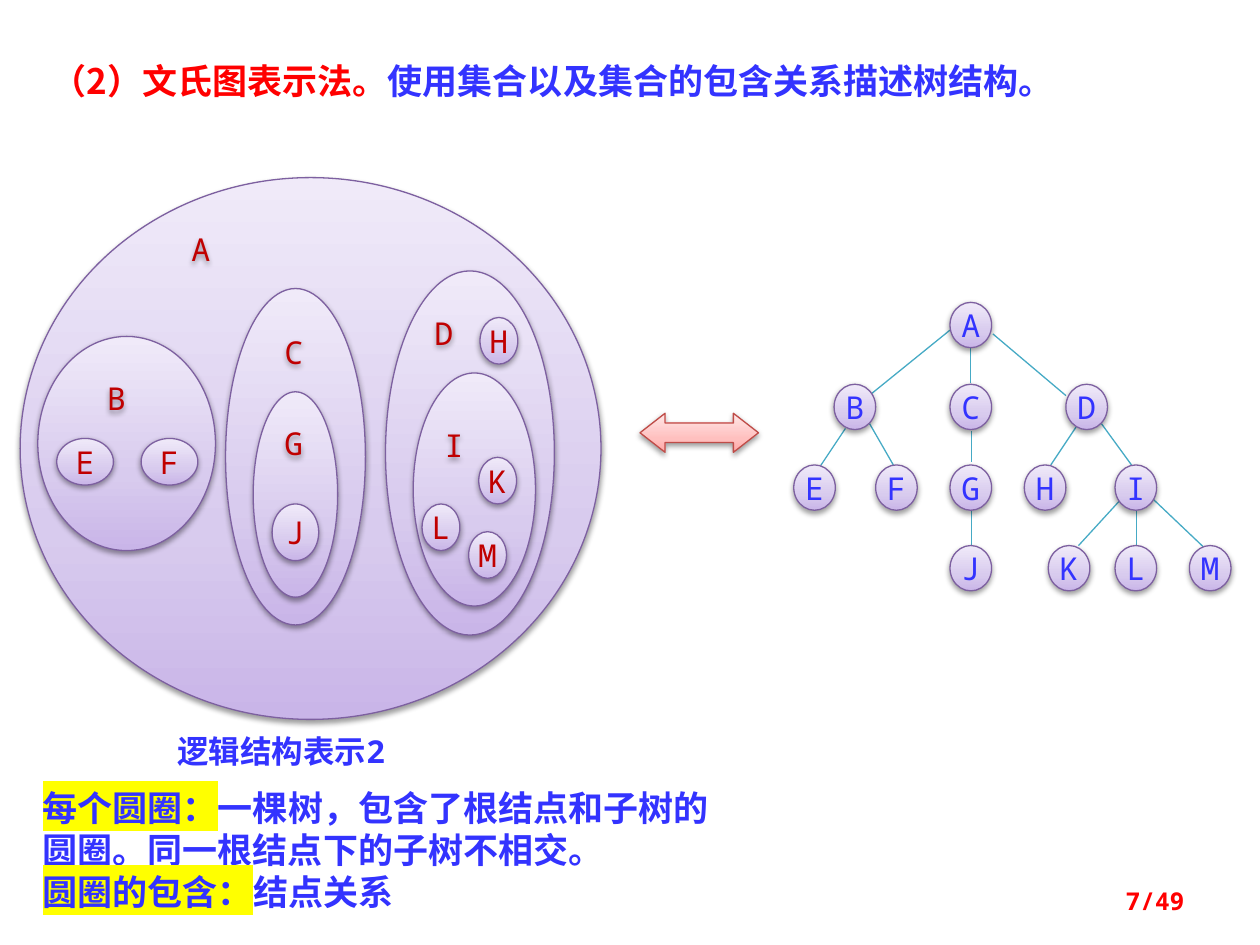
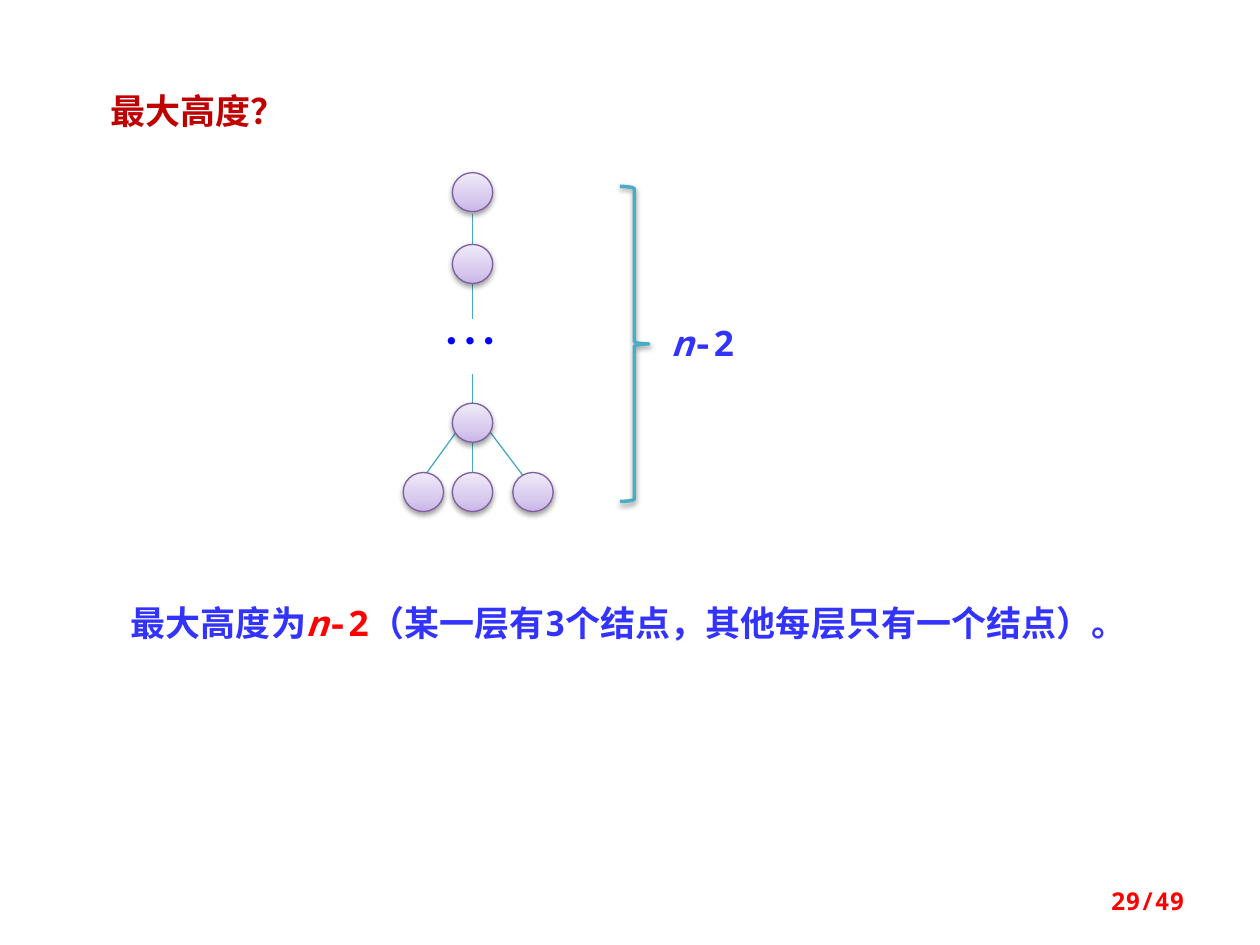
from pptx import Presentation
from pptx.dml.color import RGBColor
from pptx.enum.shapes import MSO_CONNECTOR, MSO_SHAPE
from pptx.enum.text import MSO_ANCHOR as ANCHOR, PP_ALIGN as ALIGN
from pptx.oxml import parse_xml
from pptx.oxml.ns import nsdecls, qn
from pptx.util import Inches, Pt
from lxml.etree import SubElement

BLUE = RGBColor(0x33, 0x33, 0xFF)
PURE_BLUE = RGBColor(0x00, 0x00, 0xFF)
RED = RGBColor(0xFF, 0x00, 0x00)
DARK_RED = RGBColor(0xC0, 0x00, 0x00)
YELLOW = RGBColor(0xFF, 0xFF, 0x00)
PURPLE = RGBColor(0x7D, 0x60, 0xA0)
BRICK = RGBColor(0xBF, 0x4C, 0x48)
TEAL = RGBColor(0x46, 0xAA, 0xC5)
BRACE_TEAL = RGBColor(0x4B, 0xAC, 0xC6)
LILAC_STOPS = (RGBColor(0xC9, 0xB5, 0xE8), RGBColor(0xD8, 0xCB, 0xEE), RGBColor(0xF0, 0xEA, 0xF9))
PINK_STOPS = (RGBColor(0xFF, 0xA6, 0xA5), RGBColor(0xFF, 0xC0, 0xBF), RGBColor(0xFF, 0xE7, 0xE7))
SHADOW = (f'<a:effectLst {nsdecls("a")}><a:outerShdw blurRad="40000" dist="20000" '
          'dir="5400000" rotWithShape="0"><a:srgbClr val="000000"><a:alpha val="38000"/>'
          '</a:srgbClr></a:outerShdw></a:effectLst>')
MONO = "Noto Sans Mono"
CJK = "Noto Sans CJK SC"
SERIF = "Times New Roman"


def write(shape, text, size=20, name=MONO, color=BLUE, bold=True, italic=False,
          align=ALIGN.LEFT, line_spacing=None, highlight=None, new_paragraph=False):
    frame = shape.text_frame
    paragraph = frame.add_paragraph() if new_paragraph else frame.paragraphs[-1]
    paragraph.alignment = align
    paragraph._p.get_or_add_pPr().set("hangingPunct", "0")
    if line_spacing:
        paragraph.line_spacing = line_spacing
    run = paragraph.add_run()
    run.text = text
    font = run.font
    font.size, font.bold, font.italic = Pt(size), bold, italic
    font.color.rgb = color
    properties = run._r.get_or_add_rPr()
    if highlight:
        marker = SubElement(properties, qn("a:highlight"))
        SubElement(marker, qn("a:srgbClr")).set("val", str(highlight))
    font.name = name
    SubElement(properties, qn("a:ea")).set("typeface", CJK)


def draw(slide, preset, box, stops=LILAC_STOPS, line=PURPLE, width=0.75):
    shape = slide.shapes.add_shape(preset, *map(Inches, box))
    if stops:
        gradient = "".join(
            f'<a:gs pos="{position}"><a:srgbClr val="{color}"/></a:gs>'
            for position, color in zip((0, 35000, 100000), stops))
        shape._element.spPr.append(parse_xml(
            f'<a:gradFill {nsdecls("a")} rotWithShape="1"><a:gsLst>{gradient}</a:gsLst>'
            '<a:lin ang="16200000" scaled="0"/></a:gradFill>'))
    else:
        shape.fill.background()
    shape.line.color.rgb = line
    shape.line.width = Pt(width)
    shape._element.spPr.append(parse_xml(SHADOW))
    return shape


presentation = Presentation()
presentation.slide_width, presentation.slide_height = Inches(10), Inches(7.5)
blank = presentation.slide_layouts[6]
venn_slide = presentation.slides.add_slide(blank)
height_slide = presentation.slides.add_slide(blank)

tree_edges = [
    (7.54, 2.62, 6.91, 3.13), (7.7, 2.76, 7.7, 3.04), (7.88, 2.65, 8.46, 3.14),
    (6.71, 3.4, 6.51, 3.7), (6.9, 3.36, 7.09, 3.69), (7.71, 3.42, 7.71, 3.67),
    (8.54, 3.39, 8.34, 3.69), (8.74, 3.36, 8.98, 3.69), (7.71, 4.05, 7.71, 4.33),
    (8.89, 3.97, 8.56, 4.33), (9.02, 4.05, 9.02, 4.33), (9.15, 3.96, 9.55, 4.34),
]
chain_edges = [
    (3.75, 1.7, 3.75, 2.02), (3.75, 2.21, 3.75, 2.53), (3.75, 2.97, 3.75, 3.28),
    (3.7, 3.32, 3.36, 3.79), (3.75, 3.43, 3.75, 3.83), (3.83, 3.35, 4.2, 3.84),
]
for slide, edges in ((venn_slide, tree_edges), (height_slide, chain_edges)):
    for edge in edges:
        connector = slide.shapes.add_connector(MSO_CONNECTOR.STRAIGHT, *map(Inches, edge))
        connector.line.color.rgb = TEAL
        connector.line.width = Pt(0.75)
        SubElement(connector._element.spPr, qn("a:effectLst"))

outer_sets = [
    (0.16, 1.41, 4.61, 4.3), (0.3, 2.67, 1.41, 1.7), (1.79, 2.29, 1.11, 2.67),
    (2.01, 3.11, 0.67, 1.63), (3.06, 2.15, 1.34, 2.89), (3.28, 2.96, 0.97, 1.85),
]
for box in outer_sets:
    draw(venn_slide, MSO_SHAPE.OVAL, box)

leaf_sets = {
    "E": (0.45, 3.48, 0.45, 0.37), "F": (1.12, 3.48, 0.45, 0.37),
    "J": (2.16, 4, 0.37, 0.45), "H": (3.81, 2.52, 0.3, 0.37),
    "K": (3.8, 3.63, 0.3, 0.37), "L": (3.35, 4, 0.3, 0.37),
    "M": (3.72, 4.22, 0.3, 0.37),
}
tree_levels = {
    2.4: {"A": 7.54},
    3.05: {"B": 6.62, "C": 7.54, "D": 8.46},
    3.69: {"E": 6.3, "F": 6.95, "G": 7.54, "H": 8.13, "I": 8.85},
    4.33: {"J": 7.54, "K": 8.32, "L": 8.85, "M": 9.44},
}
nodes = [(letter, box, DARK_RED) for letter, box in leaf_sets.items()]
nodes += [(letter, (left, top, 0.33, 0.36), BLUE)
          for top, level in tree_levels.items() for letter, left in level.items()]
for letter, box, color in nodes:
    node = draw(venn_slide, MSO_SHAPE.OVAL, box)
    node.text_frame.word_wrap = False
    node.text_frame.vertical_anchor = ANCHOR.MIDDLE
    write(node, letter, size=18, color=color, bold=False, align=ALIGN.CENTER)

set_labels = {
    "A": (1.42, 1.78), "B": (0.75, 2.96), "C": (2.16, 2.59),
    "G": (2.16, 3.32), "D": (3.35, 2.44), "I": (3.43, 3.33),
}
for letter, (left, top) in set_labels.items():
    label = venn_slide.shapes.add_textbox(*map(Inches, (left, top, 0.37, 0.4)))
    label._element.spPr.append(parse_xml(SHADOW))
    write(label, letter, size=18, color=DARK_RED, bold=False)

arrow = draw(venn_slide, MSO_SHAPE.LEFT_RIGHT_ARROW, (5.08, 3.28, 0.94, 0.31), PINK_STOPS, BRICK)
arrow.adjustments[0], arrow.adjustments[1] = 0.5, 0.642

for left, top in ((3.59, 1.37), (3.59, 1.94), (3.59, 3.2), (3.2, 3.75), (3.59, 3.75), (4.07, 3.75)):
    draw(height_slide, MSO_SHAPE.OVAL, (left, top, 0.32, 0.31))
draw(height_slide, MSO_SHAPE.RIGHT_BRACE, (4.92, 1.48, 0.23, 2.5), None, BRACE_TEAL, 2)

ellipsis_box = height_slide.shapes.add_textbox(*map(Inches, (3.51, 2.43, 0.63, 0.54)))
frame = ellipsis_box.text_frame
frame.margin_left = frame.margin_right = frame.margin_top = frame.margin_bottom = 0
write(ellipsis_box, "…", size=32, name=CJK, color=PURE_BLUE, bold=False)

title = dict(name=CJK, align=ALIGN.JUSTIFY, line_spacing=1.1)
body = dict(align=ALIGN.JUSTIFY, line_spacing=1.1)
text_boxes = [
    (venn_slide, (0.31, 0.39, 8.75, 0.47), [
        ("（2）文氏图表示法。", dict(title, color=RED)),
        ("使用集合以及集合的包含关系描述树结构。", dict(title, name=SERIF))]),
    (venn_slide, (1.31, 5.76, 1.98, 0.4), [("逻辑结构表示2", dict(size=18))]),
    (venn_slide, (0.24, 6.19, 5.63, 1.11), [
        ("每个圆圈：", dict(highlight=YELLOW)),
        ("一棵树，包含了根结点和子树的圆圈。同一根结点下的子树不相交。", {}),
        ("圆圈的包含：", dict(highlight=YELLOW, new_paragraph=True)),
        ("结点关系", {})]),
    (height_slide, (0.78, 0.63, 2.69, 0.45), [("最大高度？", dict(title, color=DARK_RED))]),
    (height_slide, (0.94, 4.69, 8.36, 0.45), [
        ("最大高度为", body),
        ("n", dict(body, color=RED, italic=True)),
        ("-2", dict(body, color=RED)),
        ("（某一层有3个结点，其他每层只有一个结点）。", body)]),
    (height_slide, (5.23, 2.5, 0.78, 0.44), [("n", dict(italic=True)), ("-2", {})]),
]
for slide, box, runs in text_boxes:
    text_box = slide.shapes.add_textbox(*map(Inches, box))
    text_box.text_frame.word_wrap = True
    for text, style in runs:
        write(text_box, text, **style)

for slide, page in ((venn_slide, "7/49"), (height_slide, "29/49")):
    footer = slide.shapes.add_textbox(*map(Inches, (7.17, 6.95, 2.33, 0.4)))
    footer.text_frame.word_wrap = True
    footer.text_frame.vertical_anchor = ANCHOR.MIDDLE
    write(footer, page, size=14, color=RED, align=ALIGN.RIGHT)

presentation.save("out.pptx")
